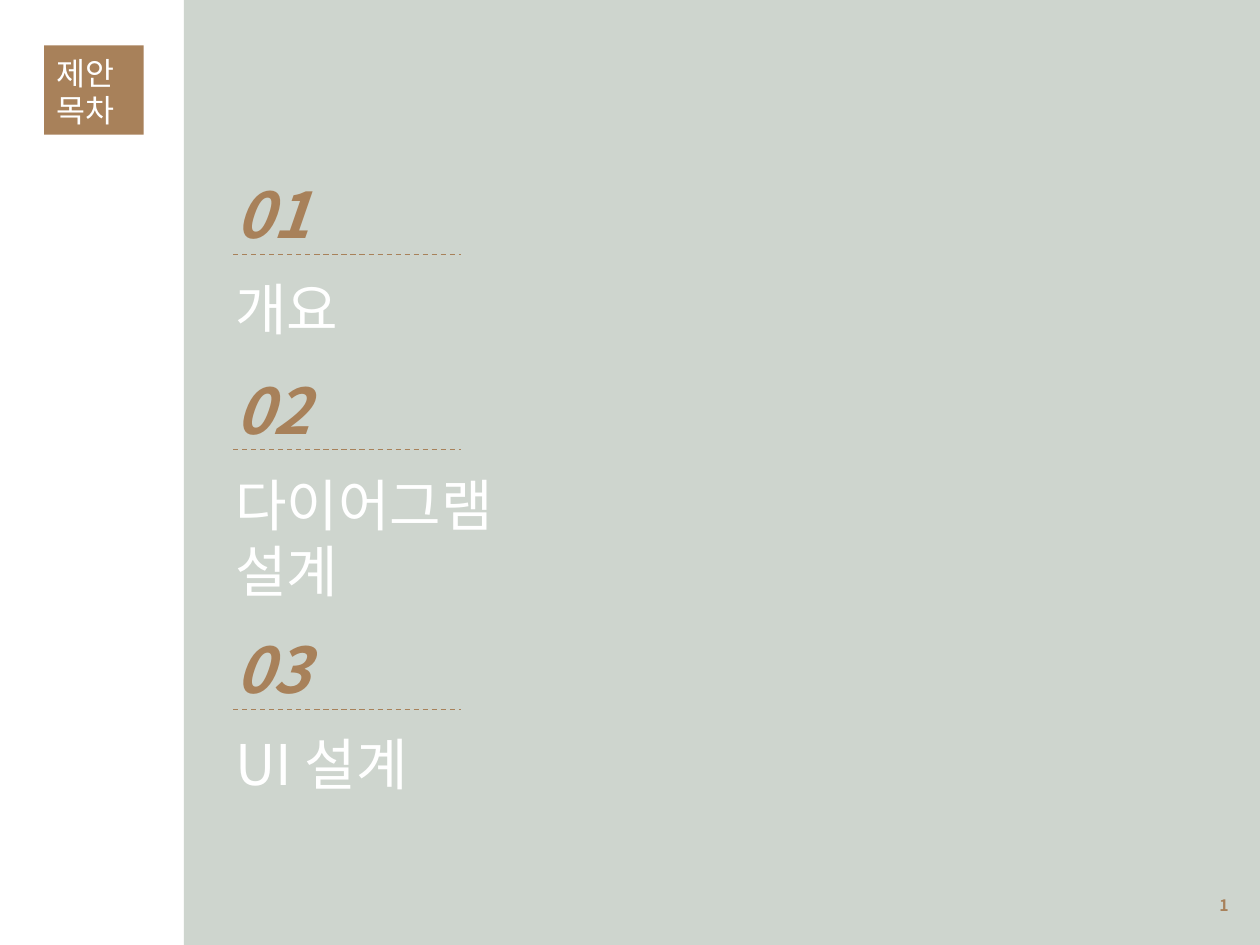
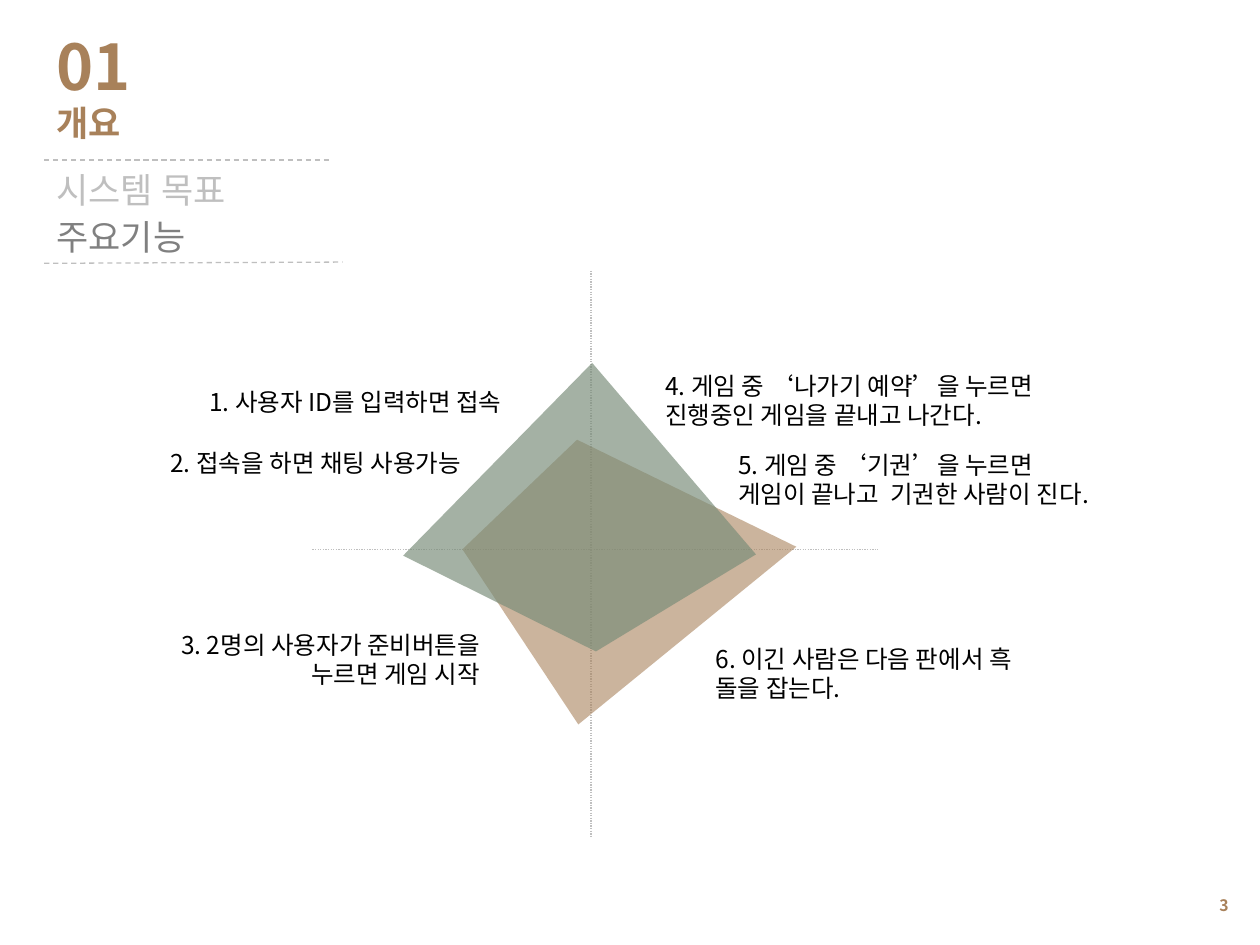
"""Builds a contents slide and a key features slide on a 100 by 75 grid."""
from dataclasses import dataclass

import lxml.etree
import pptx
import pptx.dml.color
import pptx.enum.dml
import pptx.enum.shapes
import pptx.enum.text
import pptx.oxml.ns
import pptx.shapes.autoshape
import pptx.slide
import pptx.text.text
import pptx.util

WIDE, HIGH = pptx.util.Inches(10), pptx.util.Inches(7.5)
COLS, ROWS = 100, 75
FONT = "Noto Sans CJK KR"
HUES = {
    "tan": "A8815A", "sage": "CED5CE", "moss": "788C78", "white": "FFFFFF",
    "pale": "BFBFBF", "gray": "808080", "black": "000000",
}
ALIGN = pptx.enum.text.PP_ALIGN
ANCHOR = pptx.enum.text.MSO_ANCHOR
DASH = pptx.enum.dml.MSO_LINE
LEAD, DROP, PAD = 1.18, 0.09, 0.05

LOOKS = {
    "page": {"size": 9, "hue": "tan", "bold": True},
    "label": {"size": 18, "hue": "white"},
    "index": {"size": 36, "hue": "tan", "bold": True, "italic": True},
    "topic": {"size": 32, "hue": "white"},
    "number": {"size": 36, "hue": "tan", "bold": True},
    "title": {"size": 20, "hue": "tan", "bold": True},
    "faint": {"size": 20, "hue": "pale", "name": "Arial"},
    "active": {"size": 20, "hue": "gray", "name": "Arial"},
    "note": {"size": 14, "hue": "black"},
}


@dataclass(frozen=True)
class Box:
    """A place on the grid in columns and rows."""
    col: float
    row: float
    wide: float
    high: float


@dataclass(frozen=True)
class Topic:
    """A numbered entry of the contents."""
    row: float
    lines: tuple[str, ...]
    box: tuple[float, float]


@dataclass(frozen=True)
class Note:
    """A feature written beside the diamonds."""
    box: Box
    lines: tuple[str, ...]
    align: int = ALIGN.LEFT


@dataclass(frozen=True)
class Rule:
    """A thin broken line from one grid point to another."""
    start: tuple[float, float]
    end: tuple[float, float]
    hue: str = "pale"
    dash: int = DASH.DASH


@dataclass(frozen=True)
class Kite:
    """A see-through four-cornered outline."""
    hue: str
    alpha: int
    points: tuple[tuple[float, float], ...]


TOPICS = (
    Topic(13.1, ("개요",), (26, 6.4)),
    Topic(28.6, ("다이어그램", "설계"), (24.4, 11.8)),
    Topic(49.2, ("UI 설계",), (26, 6.4)),
)
RULES = (
    Rule((3.5, 20.9), (27.2, 20.8)),
    Rule((3.5, 12.7), (26.4, 12.7)),
    Rule((46.9, 21.5), (46.9, 66.4), dash=DASH.ROUND_DOT),
    Rule((24.8, 43.6), (69.7, 43.6), dash=DASH.ROUND_DOT),
)
KITES = (
    Kite("tan", 59, ((45.8, 34.9), (36.7, 43.6), (45.9, 57.5), (63.2, 43.4))),
    Kite("moss", 67, ((47, 28.8), (32, 44.1), (47.3, 51.7), (60, 44))),
)
NOTES = (
    Note(Box(12, 30.1, 28.8, 3.4), ("1. 사용자 ID를 입력하면 접속",), ALIGN.RIGHT),
    Note(Box(9.1, 34.9, 28.5, 3.4), ("2. 접속을 하면 채팅 사용가능",), ALIGN.RIGHT),
    Note(Box(9, 49.4, 30.1, 5.7), ("3. 2명의 사용자가 준비버튼을 누르면 게임 시작",), ALIGN.RIGHT),
    Note(Box(51.8, 28.8, 32.6, 5.7), ("4. 게임 중 ‘나가기 예약’을 누르면 진행중인 게임을 끝내고 나간다.",)),
    Note(Box(57.6, 35.1, 36.1, 5.7), ("5. 게임 중 ‘기권’을 누르면", "게임이 끝나고  기권한 사람이 진다.")),
    Note(Box(55.8, 50.5, 27.4, 5.7), ("6. 이긴 사람은 다음 판에서 흑 돌을 잡는다.",)),
)


def across(col: float) -> int:
    """Turn columns into a length."""
    return round(WIDE * col / COLS)


def down(row: float) -> int:
    """Turn rows into a length."""
    return round(HIGH * row / ROWS)


def place(box: Box) -> tuple[int, int, int, int]:
    """Turn a grid box into left, top, width and height."""
    return across(box.col), down(box.row), across(box.wide), down(box.high)


def tint(hue: str) -> pptx.dml.color.RGBColor:
    """Look up a colour by name."""
    return pptx.dml.color.RGBColor.from_string(HUES[hue])


def style(font: pptx.text.text.Font, look: str) -> None:
    """Give a font the values of a look."""
    form = {"name": FONT, **LOOKS[look]}
    font.color.rgb = tint(form.pop("hue"))
    form["size"] = pptx.util.Pt(form["size"])
    for key, value in form.items():
        setattr(font, key, value)


def write(frame: pptx.text.text.TextFrame, lines: tuple[tuple[str, str], ...],
          align: int = ALIGN.LEFT, anchor: int = ANCHOR.TOP) -> None:
    """Fill a frame with one paragraph for each text and look."""
    drop = LOOKS[lines[0][1]]["size"] * DROP / 72
    form = {"word_wrap": True, "vertical_anchor": anchor,
            "margin_top": pptx.util.Inches(PAD + drop)}
    for key, value in form.items():
        setattr(frame, key, value)
    for num, (text, look) in enumerate(lines):
        para = frame.add_paragraph() if num else frame.paragraphs[0]
        para.alignment = align
        para.line_spacing = pptx.util.Pt(round(LOOKS[look]["size"] * LEAD, 1))
        run = para.add_run()
        run.text = text
        style(run.font, look)
        east = lxml.etree.SubElement(run.font._element, pptx.oxml.ns.qn("a:ea"))
        east.set("typeface", FONT)


def add_text(slide: pptx.slide.Slide, box: Box, *lines: tuple[str, str],
             align: int = ALIGN.LEFT, anchor: int = ANCHOR.TOP) -> None:
    """Put a text box on the slide."""
    write(slide.shapes.add_textbox(*place(box)).text_frame, lines, align, anchor)


def paint(shape: pptx.shapes.autoshape.Shape, hue: str) -> None:
    """Fill a shape flat, with no line or shadow."""
    shape.shadow.inherit = False
    shape.fill.solid()
    shape.fill.fore_color.rgb = tint(hue)
    shape.line.fill.background()


def add_block(slide: pptx.slide.Slide, box: Box, hue: str) -> pptx.shapes.autoshape.Shape:
    """Draw a plain filled rectangle."""
    kind = pptx.enum.shapes.MSO_SHAPE.RECTANGLE
    block = slide.shapes.add_shape(kind, *place(box))
    paint(block, hue)
    return block


def add_rule(slide: pptx.slide.Slide, rule: Rule) -> None:
    """Draw a thin broken line."""
    ends = [move(at) for point in (rule.start, rule.end)
            for move, at in zip((across, down), point)]
    line = slide.shapes.add_connector(pptx.enum.shapes.MSO_CONNECTOR.STRAIGHT, *ends)
    line.line.color.rgb = tint(rule.hue)
    form = {"width": pptx.util.Pt(0.75), "dash_style": rule.dash}
    for key, value in form.items():
        setattr(line.line, key, value)
    lxml.etree.SubElement(line._element.spPr, pptx.oxml.ns.qn("a:effectLst"))


def add_kite(slide: pptx.slide.Slide, kite: Kite) -> None:
    """Draw a see-through kite."""
    first, *rest = [(across(col), down(row)) for col, row in kite.points]
    path = slide.shapes.build_freeform(*first)
    path.add_line_segments(rest, close=True)
    shape = path.convert_to_shape()
    paint(shape, kite.hue)
    tone = shape._element.spPr.find(".//" + pptx.oxml.ns.qn("a:srgbClr"))
    alpha = lxml.etree.SubElement(tone, pptx.oxml.ns.qn("a:alpha"))
    alpha.set("val", str(kite.alpha * 1000))


def add_page(slide: pptx.slide.Slide, num: int) -> None:
    """Write the page number in the lower right corner."""
    add_text(slide, Box(75.2, 69.8, 23.3, 4), (str(num), "page"),
             align=ALIGN.RIGHT, anchor=ANCHOR.MIDDLE)


def draw_list(slide: pptx.slide.Slide) -> None:
    """Draw the contents slide."""
    add_block(slide, Box(14.6, 0, 85.4, ROWS), "sage")
    add_page(slide, 1)
    label = add_block(slide, Box(3.5, 3.6, 7.9, 7.1), "tan")
    write(label.text_frame, (("제안", "label"), ("목차", "label")),
          ALIGN.JUSTIFY, ANCHOR.MIDDLE)
    for num, topic in enumerate(TOPICS, 1):
        edge = topic.row + 7.1
        add_text(slide, Box(17.7, topic.row, 12.6, 7.1), (f"{num:02}", "index"))
        add_rule(slide, Rule((18.5, edge), (36.6, edge), "tan"))
        add_text(slide, Box(17.7, edge + 0.8, *topic.box),
                 *((line, "topic") for line in topic.lines))


def draw_goals(slide: pptx.slide.Slide) -> None:
    """Draw the key features slide."""
    add_page(slide, 3)
    add_text(slide, Box(3.5, 1.3, 24.4, 10.4), ("01", "number"), ("개요", "title"))
    add_text(slide, Box(3.5, 12.7, 22.8, 4.4), ("시스템 목표", "faint"))
    add_text(slide, Box(3.5, 16.4, 22.8, 4.4), ("주요기능", "active"))
    for rule in RULES:
        add_rule(slide, rule)
    for kite in KITES:
        add_kite(slide, kite)
    for note in NOTES:
        add_text(slide, note.box, *((line, "note") for line in note.lines),
                 align=note.align)


def main() -> None:
    """Build and save the deck."""
    deck = pptx.Presentation()
    deck.slide_width, deck.slide_height = WIDE, HIGH
    for draw in (draw_list, draw_goals):
        draw(deck.slides.add_slide(deck.slide_layouts[6]))
    deck.save("out.pptx")


if __name__ == "__main__":
    main()
